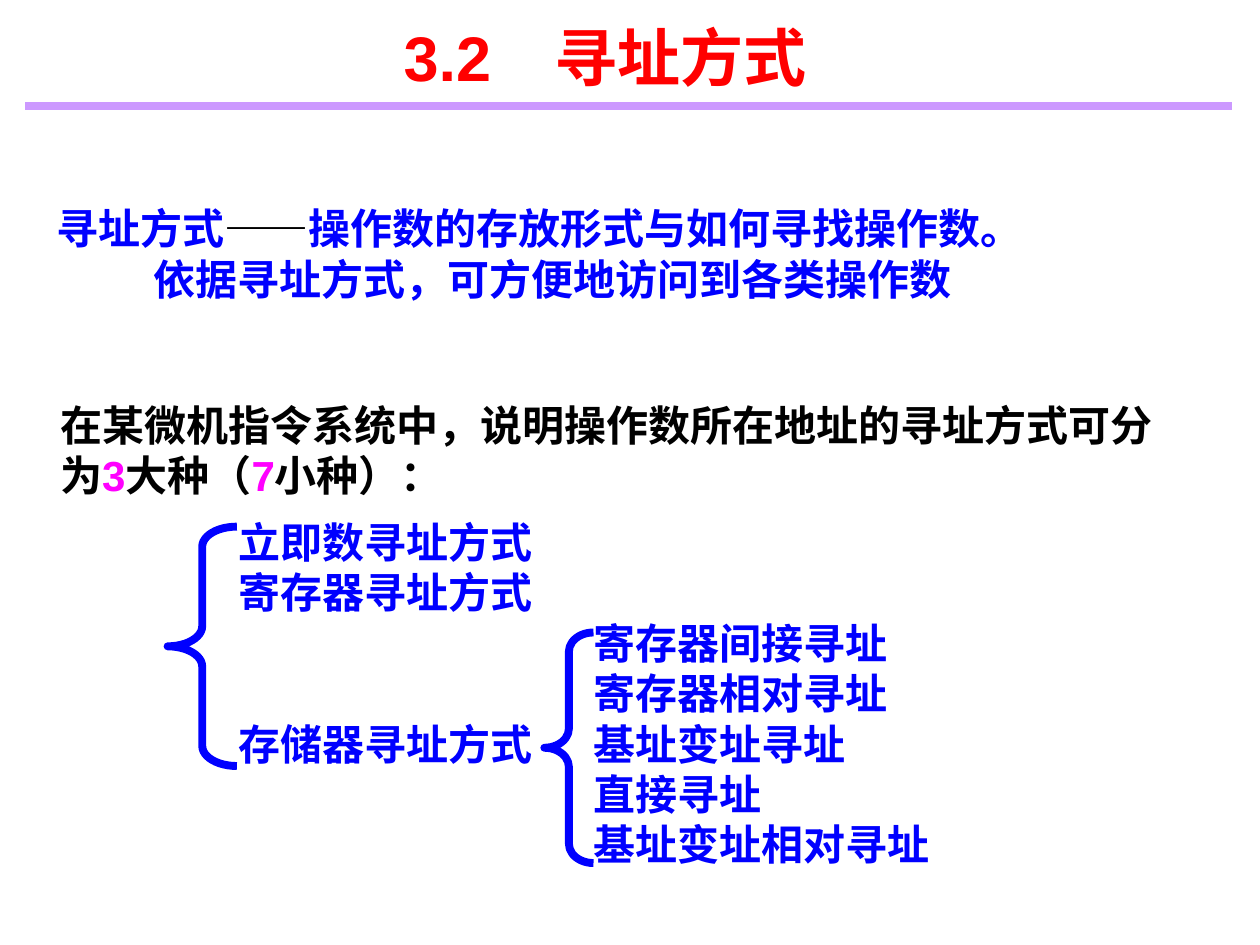
import pptx
import pptx.util
import pptx.dml.color
import pptx.enum.shapes
import pptx.enum.text
import pptx.oxml.ns
import lxml.etree

Inches = pptx.util.Inches
Pt = pptx.util.Pt
BLUE, BLACK, PINK, RED, LILAC = "0000FF", "000000", "FF00FF", "FF0000", "CC99FF"
SERIF, SANS, CJK = "Times New Roman", "Arial", "Noto Sans CJK SC"


def color(value):
    return pptx.dml.color.RGBColor.from_string(value)


def add_text(lines, left, top, width, height, size=24, margin=(0.1, 0.05), spacing=28.8,
             align=pptx.enum.text.PP_ALIGN.LEFT, anchor=pptx.enum.text.MSO_ANCHOR.TOP):
    """Add a box; each line is a list of (text, font, color) spans."""
    box = page.shapes.add_textbox(Inches(left), Inches(top), Inches(width), Inches(height))
    frame = box.text_frame
    frame.word_wrap = True
    frame.vertical_anchor = anchor
    frame.margin_left = frame.margin_right = Inches(margin[0])
    frame.margin_top = frame.margin_bottom = Inches(margin[1])
    for index, spans in enumerate(lines):
        para = frame.paragraphs[0] if index == 0 else frame.add_paragraph()
        para.alignment = align
        if spacing:
            para.line_spacing = Pt(spacing)
        for text, font, fill in spans:
            span = para.add_run()
            span.text = text
            span.font.name = font
            span.font.size = Pt(size)
            span.font.bold = True
            span.font.color.rgb = color(fill)
    return frame.paragraphs


deck = pptx.Presentation()
deck.slide_width, deck.slide_height = Inches(10), Inches(7.5)
page = deck.slides.add_slide(deck.slide_layouts[6])

# Rule under the title
rule = page.shapes.add_connector(pptx.enum.shapes.MSO_CONNECTOR.STRAIGHT,
                                 Inches(0.2), Inches(0.84), Inches(9.78), Inches(0.84))
rule.line.color.rgb = color(LILAC)
rule.line.width = Pt(4.25)
lxml.etree.SubElement(rule._element.spPr, pptx.oxml.ns.qn("a:effectLst"))

# Title
add_text([[("3.2", SANS, RED), ("　寻址方式", SERIF, RED)]], 1.14, 0.21, 7.32, 0.47, size=36,
         spacing=None, align=pptx.enum.text.PP_ALIGN.CENTER,
         anchor=pptx.enum.text.MSO_ANCHOR.MIDDLE)

# Definition, second line indented
definition = add_text([
    [("寻址方式", SERIF, BLUE), ("——", SANS, BLACK),
     ("操作数的存放形式与如何寻找操作数。", CJK, BLUE)],
    [("依据寻址方式，可方便地访问到各类操作数", CJK, BLUE)],
], 0.35, 1.56, 9.29, 1.12)
definition[1]._p.get_or_add_pPr().set("indent", str(Inches(0.77)))

# Introduction to the classification
add_text([[
    ("在某微机指令系统中，说明操作数所在地址的寻址方式可分为", SANS, BLACK),
    ("3", SANS, PINK), ("大种（", SANS, BLACK),
    ("7", SANS, PINK), ("小种）：", SANS, BLACK),
]], 0.38, 3.12, 9.17, 0.89)

# Addressing modes: main kinds at the margin, memory kinds at a tab stop
modes = ["立即数寻址方式", "寄存器寻址方式", "\t寄存器间接寻址", "\t寄存器相对寻址",
         "存储器寻址方式\t基址变址寻址", "\t直接寻址", "\t基址变址相对寻址"]
for para in add_text([[(mode, SERIF, BLUE)] for mode in modes],
                     1.89, 4.1, 7.01, 2.8, margin=(0, 0)):
    tabs = lxml.etree.SubElement(para._p.get_or_add_pPr(), pptx.oxml.ns.qn("a:tabLst"))
    lxml.etree.SubElement(tabs, pptx.oxml.ns.qn("a:tab"), pos=str(Inches(2.82)), algn="l")

# Braces: left, top, width, height, curvature
for left, top, width, height, curve in [(1.33, 4.18, 0.55, 1.9, 0.29),
                                        (4.32, 5.02, 0.39, 1.83, 0.39)]:
    brace = page.shapes.add_shape(pptx.enum.shapes.MSO_SHAPE.LEFT_BRACE, Inches(left),
                                  Inches(top), Inches(width), Inches(height))
    brace.adjustments[0] = curve
    brace.adjustments[1] = 0.5
    brace.shadow.inherit = False
    brace.fill.background()
    brace.line.color.rgb = color(BLUE)
    brace.line.width = Pt(4.5)

deck.save("out.pptx")
